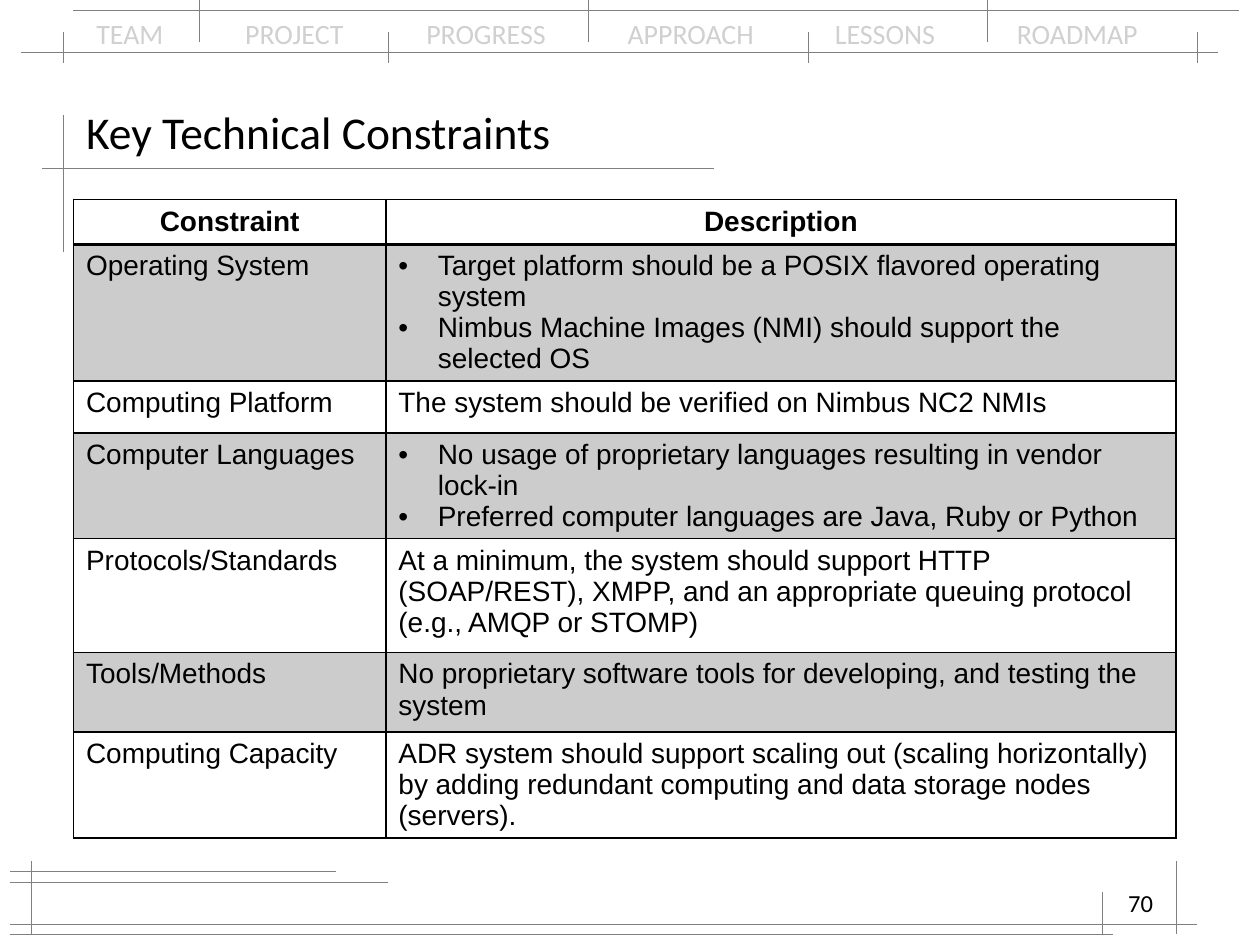
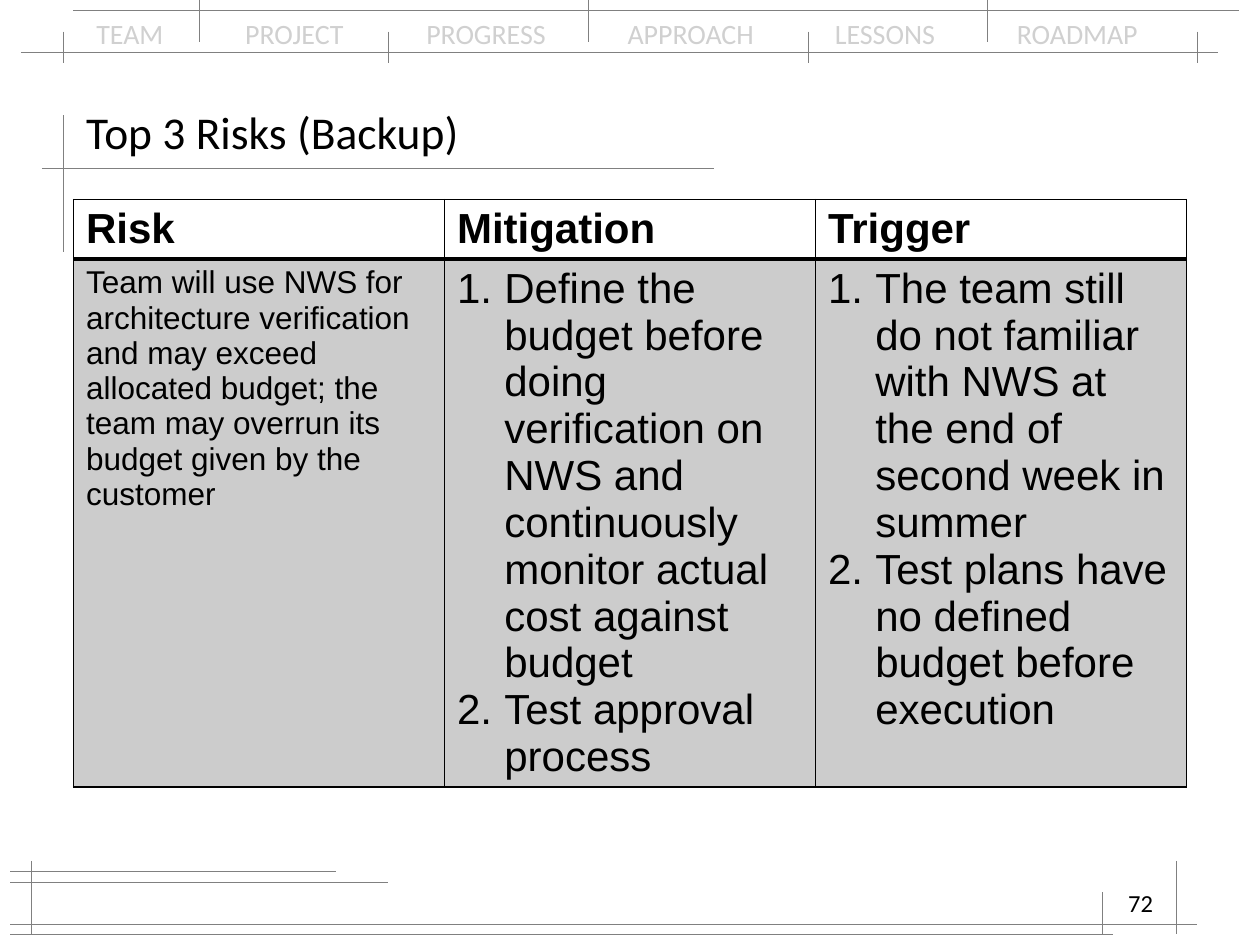
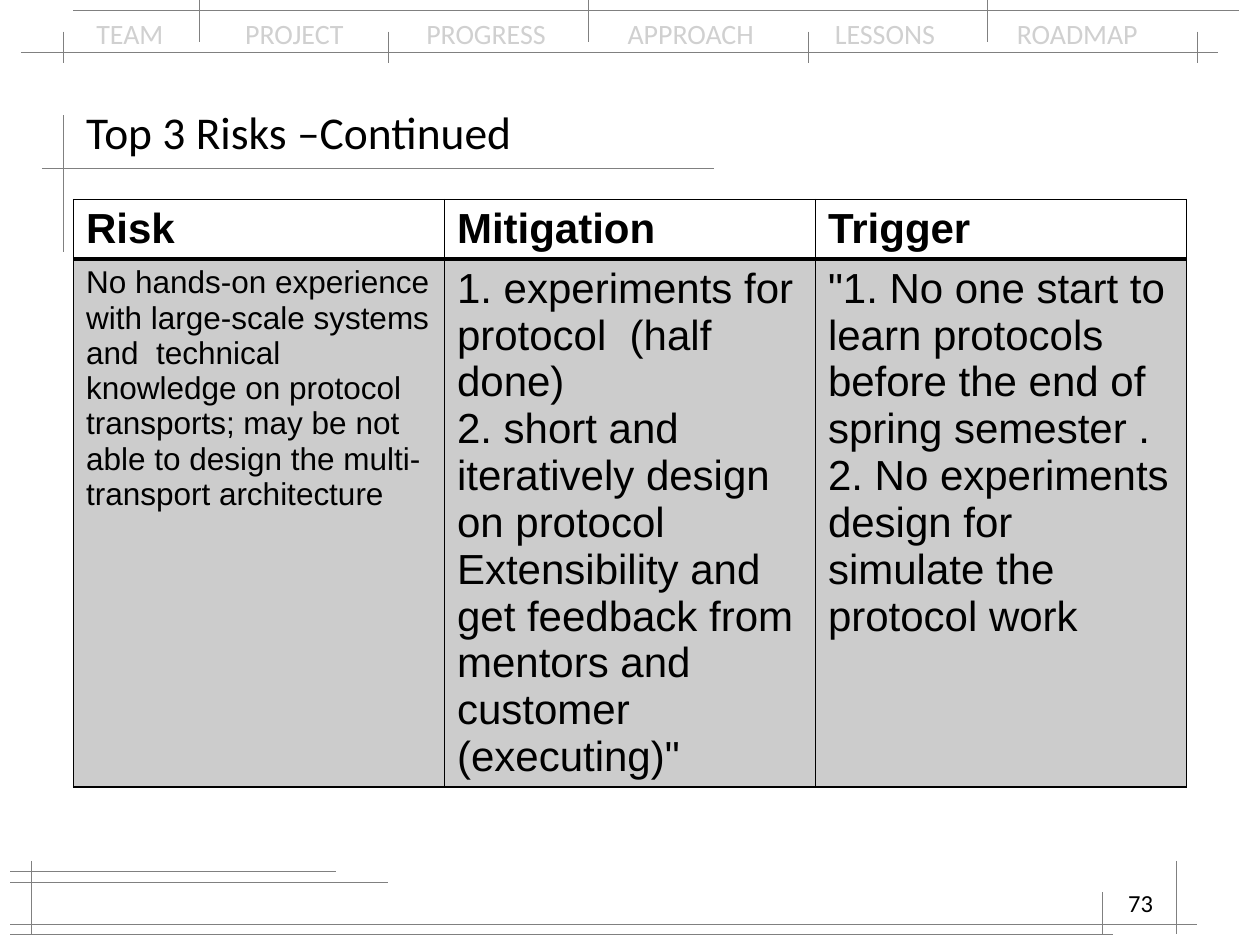
from dataclasses import dataclass
from typing import NamedTuple

from lxml import etree
from pptx import Presentation
from pptx.dml.color import RGBColor
from pptx.enum import shapes, text
from pptx.oxml import ns
from pptx.util import Pt

COLORS = {"ink": "000000", "rule": "808080", "nav": "D0D0D0"}
HEADING_FONT, BODY_FONT = "Calibri", "Arial"
SHADE_ALPHA = 20
TABLE_LEFT, TABLE_TOP = 42, 114

SECTIONS = ["TEAM", "PROJECT", "PROGRESS", "APPROACH", "LESSONS", "ROADMAP"]
SECTION_STOPS = [85, 188.5, 303.5, 422, 526]


class Rule(NamedTuple):
    x1: float
    y1: float
    x2: float
    y2: float


RULES = [
    # header band
    Rule(12, 30, 696, 30), Rule(42, 6, 708, 6),
    *(Rule(x, 18, x, 36) for x in (36, 222, 462, 684)),
    *(Rule(x, -18, x, 24) for x in (114, 336, 564)),
    # title
    Rule(36, 66, 36, 144), Rule(24, 96, 408, 96),
    # footer
    Rule(6, 498, 192, 498), Rule(6, 504, 222, 504),
    Rule(6, 528, 684, 528), Rule(6, 534, 636, 534),
    Rule(18, 492, 18, 534), Rule(672, 492, 672, 534), Rule(630, 510, 630, 534),
]


@dataclass
class Entry:
    """Text of one table cell; each line is a paragraph."""
    words: str
    size: float = 16
    marker: str = ""
    bold: bool = False
    centered: bool = False
    shaded: bool = False


@dataclass
class Page:
    title: str
    number: int
    widths: list[float]
    heights: list[float]
    rows: list[list[Entry]]


def constraint(name: str, description: str, marker: str = "", shaded: bool = False) -> list[Entry]:
    return [Entry(name, shaded=shaded), Entry(description, marker=marker, shaded=shaded)]


def risk_page(title: str, number: int, risk: str, mitigation: str, trigger: str,
              marker: str = "") -> Page:
    header = [Entry(name, 24, bold=True) for name in ("Risk", "Mitigation", "Trigger")]
    body = [Entry(risk, 18, shaded=True),
            Entry(mitigation, 24, marker, shaded=True),
            Entry(trigger, 24, marker, shaded=True)]
    return Page(title, number, [212] * 3, [29.5, 158.5], [header, body])


PAGES = [
    Page("Key Technical Constraints", 70, [178.5, 451.5],
         [25.5, 65, 29.5, 47.5, 65, 45.5, 45.5], [
        [Entry(name, bold=True, centered=True) for name in ("Constraint", "Description")],
        constraint("Operating System",
                   "Target platform should be a POSIX flavored operating system\n"
                   "Nimbus Machine Images (NMI) should support the selected OS",
                   "bullet", shaded=True),
        constraint("Computing Platform",
                   "The system should be verified on Nimbus NC2 NMIs"),
        constraint("Computer Languages",
                   "No usage of proprietary languages resulting in vendor lock-in\n"
                   "Preferred computer languages are Java, Ruby or Python",
                   "bullet", shaded=True),
        constraint("Protocols/Standards",
                   "At a minimum, the system should support HTTP (SOAP/REST), XMPP, "
                   "and an appropriate queuing protocol (e.g., AMQP or STOMP)"),
        constraint("Tools/Methods",
                   "No proprietary software tools for developing, and testing the system",
                   shaded=True),
        constraint("Computing Capacity",
                   "ADR system should support scaling out (scaling horizontally) by adding "
                   "redundant computing and data storage nodes (servers)."),
    ]),
    risk_page("Top 3 Risks (Backup)", 72,
              "Team will use NWS for architecture verification and may exceed allocated "
              "budget; the team may overrun its budget given by the customer",
              "Define the budget before doing verification on NWS and continuously "
              "monitor actual cost against budget\nTest approval process",
              "The team still do not familiar with NWS at the end of second week in summer\n"
              "Test plans have no defined budget before execution",
              "number"),
    risk_page("Top 3 Risks –Continued", 73,
              "No hands-on experience with large-scale systems and  technical knowledge on "
              "protocol transports; may be not able to design the multi-transport architecture",
              "1. experiments for protocol  (half done)\n"
              "2. short and iteratively design on protocol Extensibility and get feedback "
              "from mentors and customer (executing)\"",
              "\"1. No one start to learn protocols before the end of spring semester .\n"
              "2. No experiments design for simulate the protocol work"),
]


def rgb(name: str) -> RGBColor:
    return RGBColor.from_string(COLORS[name])


def add_child(parent, tag: str, **attributes):
    return etree.SubElement(parent, ns.qn(tag), {k: str(v) for k, v in attributes.items()})


def format_text(frame, font: str, size: float, color: str = "ink", bold: bool = False,
                align=text.PP_ALIGN.LEFT) -> None:
    for paragraph in frame.paragraphs:
        paragraph.alignment = align
        for run in paragraph.runs:
            run.font.name, run.font.size, run.font.bold = font, Pt(size), bold
            run.font.color.rgb = rgb(color)


def add_label(slide, words: str, box: tuple[float, float, float, float], size: float,
              color: str = "ink", align=text.PP_ALIGN.LEFT):
    label = slide.shapes.add_textbox(*map(Pt, box))
    label.text_frame.word_wrap = True
    label.text_frame.text = words
    format_text(label.text_frame, HEADING_FONT, size, color, align=align)
    return label


def add_rule(slide, rule: Rule):
    line = slide.shapes.add_connector(shapes.MSO_CONNECTOR.STRAIGHT, *map(Pt, rule))
    line.line.color.rgb = rgb("rule")
    line.line.width = Pt(0.3)
    add_child(line.element.spPr, "a:effectLst")
    return line


def add_section_bar(slide):
    bar = add_label(slide, "\t".join(SECTIONS), (48, 6, 624, 27), 16, "nav")
    bar.text_frame.auto_size = text.MSO_AUTO_SIZE.SHAPE_TO_FIT_TEXT
    stops = add_child(bar.text_frame.paragraphs[0]._p.get_or_add_pPr(), "a:tabLst")
    for stop in SECTION_STOPS:
        add_child(stops, "a:tab", pos=Pt(stop), algn="l")
    return bar


def furnish_layout(layout, slide) -> None:
    """Draw the shared parts on a slide, then move them to its layout."""
    parts = [add_section_bar(slide)] + [add_rule(slide, rule) for rule in RULES]
    for part_id, part in enumerate(parts, start=100):
        part.element.xpath("./*/p:cNvPr")[0].set("id", str(part_id))
        layout.shapes.element.append(part.element)


def set_title(slide, words: str) -> None:
    title = slide.shapes.title
    title.left, title.top, title.width, title.height = map(Pt, (42, 54, 636, 42))
    title.text_frame.text = words
    title.text_frame.vertical_anchor = text.MSO_ANCHOR.MIDDLE
    format_text(title.text_frame, HEADING_FONT, 26)


def set_borders(cell, top: float, bottom: float) -> None:
    properties = cell._tc.get_or_add_tcPr()
    for side, width in (("L", 1), ("R", 1), ("T", top), ("B", bottom)):
        border = add_child(properties, f"a:ln{side}", w=Pt(width))
        add_child(add_child(border, "a:solidFill"), "a:srgbClr", val=COLORS["ink"])


def shade(cell) -> None:
    cell.fill.solid()
    cell.fill.fore_color.rgb = rgb("ink")
    color = cell._tc.tcPr.find(ns.qn("a:solidFill"))[0]
    add_child(color, "a:alpha", val=SHADE_ALPHA * 1000)


def add_marker(paragraph, marker: str) -> None:
    properties = paragraph._p.get_or_add_pPr()
    indent = Pt(22.5 if marker == "bullet" else 27)
    properties.set("marL", str(indent))
    properties.set("indent", str(-indent))
    if marker == "bullet":
        add_child(properties, "a:buFont", typeface=BODY_FONT)
        add_child(properties, "a:buChar", char="•")
    else:
        add_child(properties, "a:buFont", typeface="+mj-lt")
        add_child(properties, "a:buAutoNum", type="arabicPeriod")


def fill_cell(cell, entry: Entry) -> None:
    cell.text_frame.text = entry.words
    align = text.PP_ALIGN.CENTER if entry.centered else text.PP_ALIGN.LEFT
    format_text(cell.text_frame, BODY_FONT, entry.size, bold=entry.bold, align=align)
    if entry.marker:
        for paragraph in cell.text_frame.paragraphs:
            add_marker(paragraph, entry.marker)
    if entry.shaded:
        shade(cell)
    else:
        cell.fill.background()


def add_grid(slide, page: Page) -> None:
    grid = slide.shapes.add_table(
        len(page.heights), len(page.widths), Pt(TABLE_LEFT), Pt(TABLE_TOP),
        Pt(sum(page.widths)), Pt(sum(page.heights))).table
    grid.first_row = grid.horz_banding = False
    for column, width in zip(grid.columns, page.widths):
        column.width = Pt(width)
    for r, (height, entries) in enumerate(zip(page.heights, page.rows)):
        grid.rows[r].height = Pt(height)
        for c, entry in enumerate(entries):
            cell = grid.cell(r, c)
            set_borders(cell, top=2 if r == 1 else 1, bottom=2 if r == 0 else 1)
            fill_cell(cell, entry)


def main() -> None:
    deck = Presentation()
    deck.slide_width, deck.slide_height = Pt(720), Pt(540)
    layout = deck.slide_layouts.get_by_name("Title Only")
    for index, page in enumerate(PAGES):
        slide = deck.slides.add_slide(layout)
        if index == 0:
            furnish_layout(layout, slide)
        set_title(slide, page.title)
        add_grid(slide, page)
        add_label(slide, str(page.number), (516, 504, 150, 36), 14,
                  align=text.PP_ALIGN.RIGHT)
    deck.save("out.pptx")


if __name__ == "__main__":
    main()
